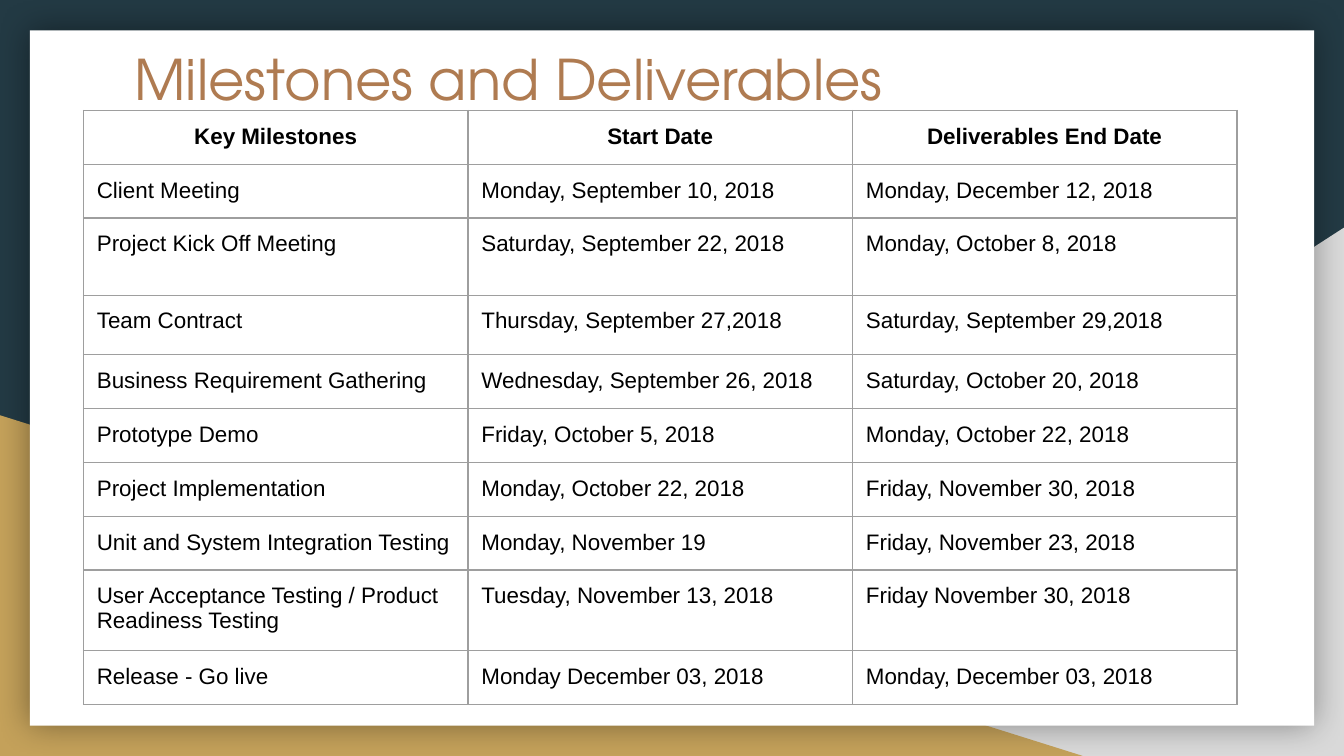
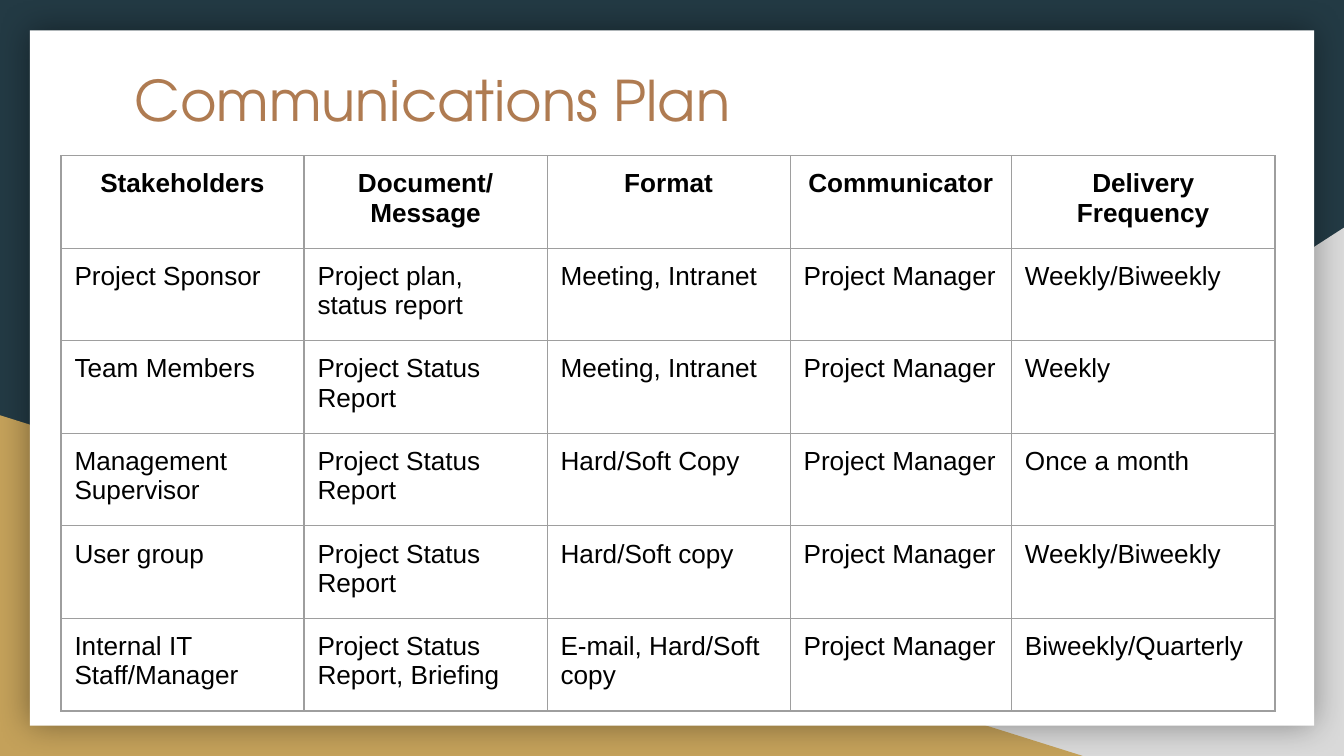
from lxml import etree
from pptx import Presentation
from pptx.dml.color import RGBColor
from pptx.enum import shapes, text
from pptx.oxml import ns
from pptx.util import Pt

COLOURS = {"back": "233A44", "grey": "D9D9D9", "gold": "C4A15A", "panel": "FFFFFF",
           "title": "AF7B51", "ink": "000000", "grid": "9E9E9E"}
TITLE_FONT, BODY_FONT = "TeX Gyre Adventor", "Arial"
WIDTH, HEIGHT = 720, 405
INSET = 7.2


def colour(name):
    return RGBColor.from_string(COLOURS[name])


def child(parent, tag, **attributes):
    return etree.SubElement(parent, ns.qn(tag), attributes)


def style(para, font, size, ink, bold=False):
    para.font.name, para.font.size, para.font.bold = font, Pt(size), bold
    para.font.color.rgb = colour(ink)


def set_insets(holder):
    holder.margin_left = holder.margin_right = Pt(INSET)
    holder.margin_top = holder.margin_bottom = Pt(INSET)


def add_block(page, kind, box, fill):
    block = page.shapes.add_shape(kind, *map(Pt, box))
    block.shadow.inherit = False
    block.fill.solid()
    block.fill.fore_color.rgb = colour(fill)
    block.line.fill.background()
    return block


def add_glow(block, blur, opacity):
    """Even dark shadow on all sides of a block."""
    effects = block._element.spPr.find(ns.qn("a:effectLst"))
    shadow = child(effects, "a:outerShdw", blurRad=str(Pt(blur)), dist="0", dir="0",
                   algn="ctr", rotWithShape="0")
    tint = child(shadow, "a:srgbClr", val=COLOURS["ink"])
    child(tint, "a:alpha", val=str(opacity * 1000))


def add_backdrop(page):
    page.background.fill.solid()
    page.background.fill.fore_color.rgb = colour("back")
    triangle = shapes.MSO_SHAPE.RIGHT_TRIANGLE
    # Grey corner at right, mirrored
    corner = add_block(page, triangle, (282, 122, WIDTH - 282, HEIGHT - 122), "grey")
    corner._element.spPr.find(ns.qn("a:xfrm")).set("flipH", "1")
    # Gold corner at left
    add_block(page, triangle, (0, 222.5, 580, HEIGHT - 222.5), "gold")
    # White panel
    panel = add_block(page, shapes.MSO_SHAPE.RECTANGLE, (16, 16.2, 688, 372.6), "panel")
    add_glow(panel, 18, 40)


def add_title(page, words, box):
    frame = page.shapes.add_textbox(*map(Pt, box)).text_frame
    frame.word_wrap = True
    frame.vertical_anchor = text.MSO_ANCHOR.TOP
    set_insets(frame)
    frame.text = words
    style(frame.paragraphs[0], TITLE_FONT, 30, "title")


def add_borders(cell):
    props = cell._tc.get_or_add_tcPr()
    for place, side in enumerate(("a:lnL", "a:lnR", "a:lnT", "a:lnB")):
        line = child(props, side, w=str(Pt(0.75)))
        child(child(line, "a:solidFill"), "a:srgbClr", val=COLOURS["grid"])
        props.insert(place, line)


def add_grid(page, rows, corner, widths, heights, size):
    """Ruled table with a bold, centred header row."""
    box = (*corner, sum(widths), sum(heights))
    table = page.shapes.add_table(len(rows), len(widths), *map(Pt, box)).table
    table.first_row = table.horz_banding = False
    for column, width in zip(table.columns, widths):
        column.width = Pt(width)
    for number, (row, height, entries) in enumerate(zip(table.rows, heights, rows)):
        row.height = Pt(height)
        header = number == 0
        for cell, entry in zip(row.cells, entries):
            cell.text = entry
            cell.fill.background()
            set_insets(cell)
            add_borders(cell)
            para = cell.text_frame.paragraphs[0]
            para.alignment = text.PP_ALIGN.CENTER if header else text.PP_ALIGN.LEFT
            style(para, BODY_FONT, size, "ink", header)


def add_page(deck, title, title_box, **grid):
    page = deck.slides.add_slide(deck.slide_layouts[6])
    add_backdrop(page)
    add_title(page, title, title_box)
    add_grid(page, **grid)


MILESTONES = [
    ("Key Milestones", "Start Date", "Deliverables End Date"),
    ("Client Meeting", "Monday, September 10, 2018", "Monday, December 12, 2018"),
    ("Project Kick Off Meeting", "Saturday, September 22, 2018", "Monday, October 8, 2018"),
    ("Team Contract", "Thursday, September 27,2018", "Saturday, September 29,2018"),
    ("Business Requirement Gathering", "Wednesday, September 26, 2018",
     "Saturday, October 20, 2018"),
    ("Prototype Demo", "Friday, October 5, 2018", "Monday, October 22, 2018"),
    ("Project Implementation", "Monday, October 22, 2018", "Friday, November 30, 2018"),
    ("Unit and System Integration Testing", "Monday, November 19",
     "Friday, November 23, 2018"),
    ("User Acceptance Testing / Product Readiness Testing", "Tuesday, November 13, 2018",
     "Friday November 30, 2018"),
    ("Release - Go live", "Monday December 03, 2018", "Monday, December 03, 2018"),
]
MANAGER = "Project Manager"
REPORT = "Project Status Report"
COMMUNICATIONS = [
    ("Stakeholders", "Document/ Message", "Format", "Communicator", "Delivery Frequency"),
    ("Project Sponsor", "Project plan, status report", "Meeting, Intranet", MANAGER,
     "Weekly/Biweekly"),
    ("Team Members", REPORT, "Meeting, Intranet", MANAGER, "Weekly"),
    ("Management Supervisor", REPORT, "Hard/Soft Copy", MANAGER, "Once a month"),
    ("User group", REPORT, "Hard/Soft copy", MANAGER, "Weekly/Biweekly"),
    ("Internal IT Staff/Manager", REPORT + ", Briefing", "E-mail, Hard/Soft copy", MANAGER,
     "Biweekly/Quarterly"),
]

deck = Presentation()
deck.slide_width, deck.slide_height = Pt(WIDTH), Pt(HEIGHT)

add_page(deck, "Milestones and Deliverables", (65, 16.5, 591, 39),
         rows=MILESTONES, corner=(44.7, 59.2), widths=[206] * 3,
         heights=[27.9] * 2 + [41.3, 32] + [27.9] * 4 + [41.8, 27.9], size=12)
add_page(deck, "Communications Plan", (65, 28, 591, 47),
         rows=COMMUNICATIONS, corner=(32.7, 83.4), widths=[130.2] * 3 + [118.6, 141.2],
         heights=[49.6] * 6, size=14)

deck.save("out.pptx")
